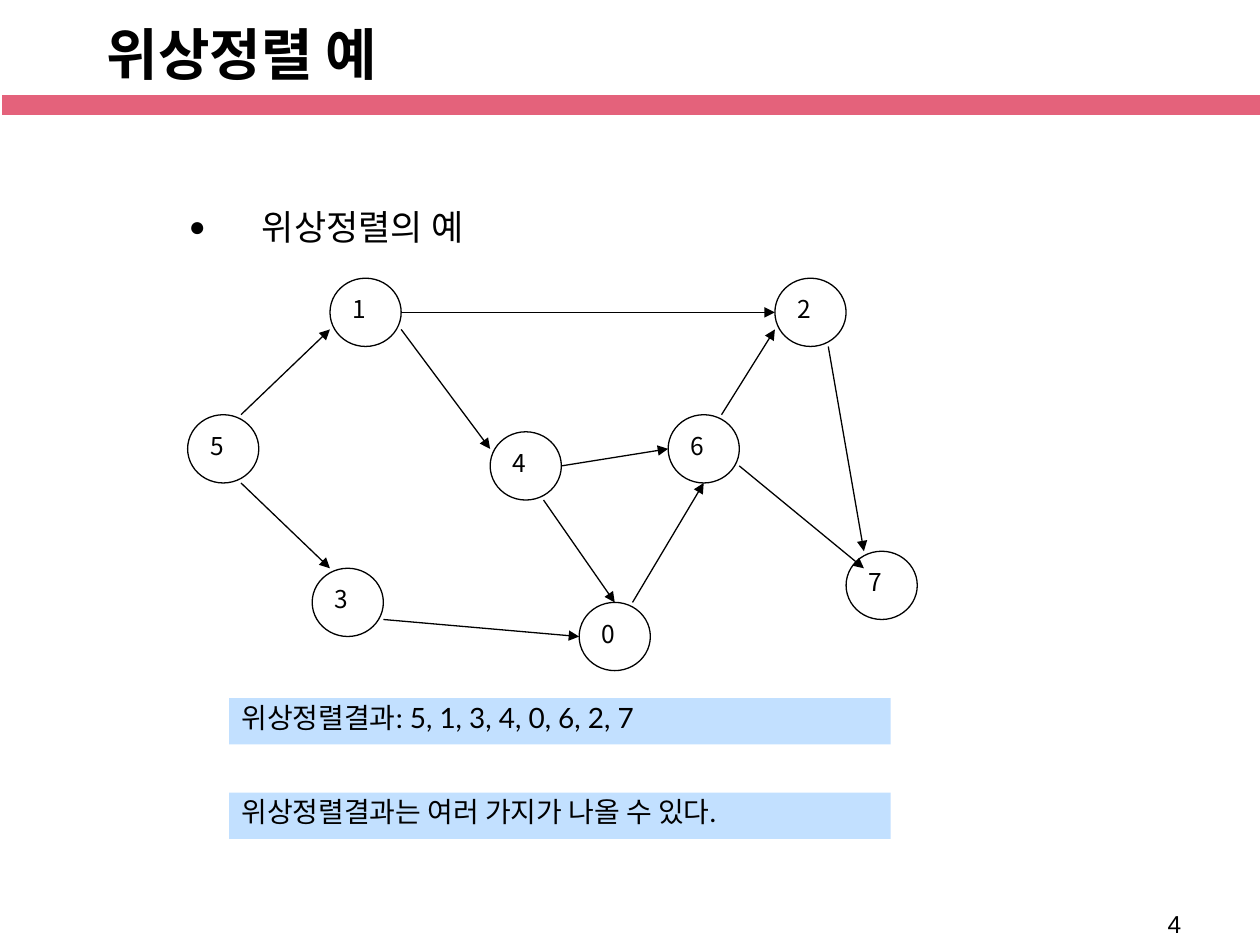
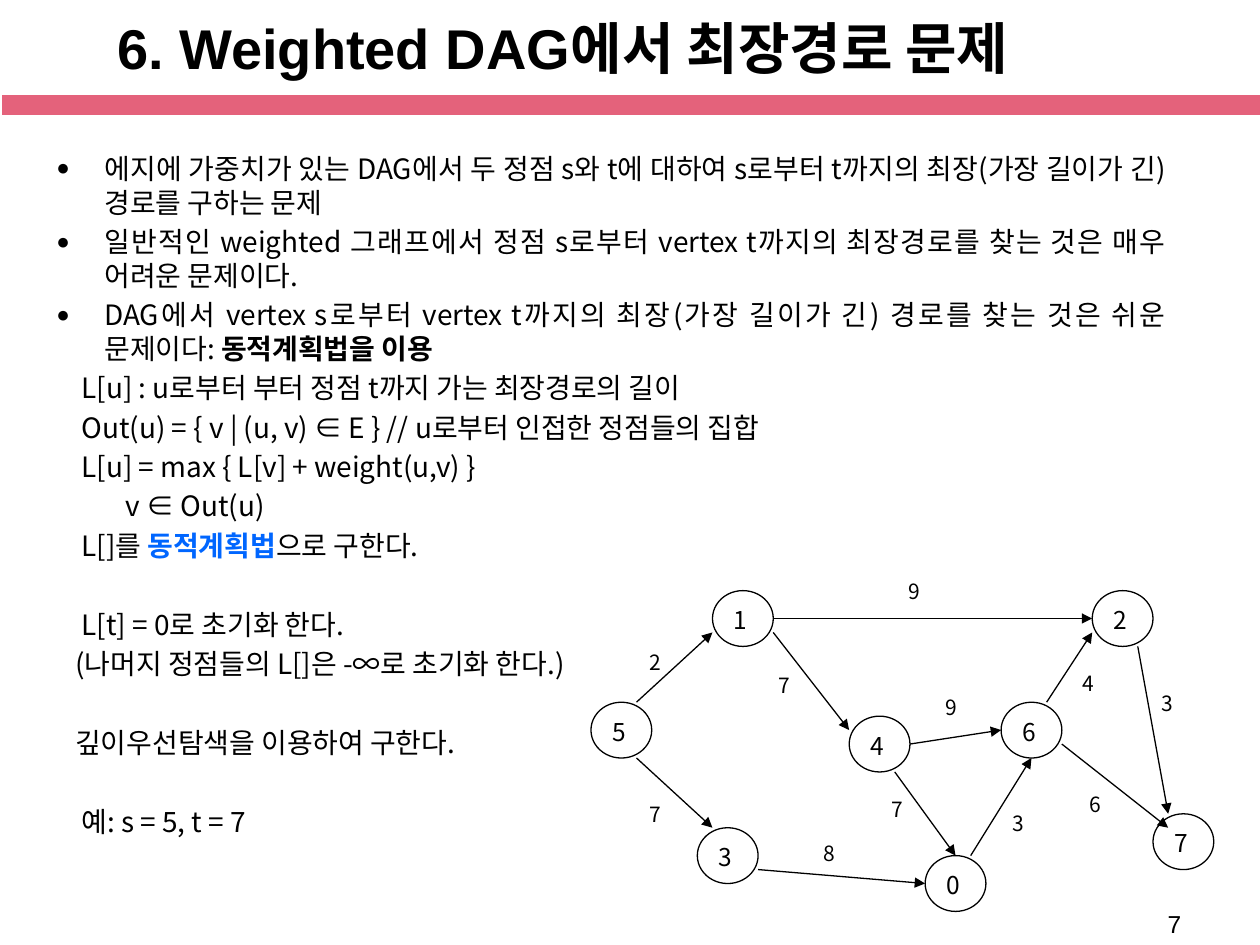
import pptx
import pptx.util
import pptx.dml.color
import pptx.enum.shapes
import pptx.enum.text
import pptx.oxml.ns
import lxml.etree

Pt = pptx.util.Pt
ALIGN = pptx.enum.text.PP_ALIGN
ANCHOR = pptx.enum.text.MSO_ANCHOR
SHAPE = pptx.enum.shapes.MSO_SHAPE
qn = pptx.oxml.ns.qn


def rgb(code):
    return pptx.dml.color.RGBColor.from_string(code)


THEME = {
    "ink": rgb("000000"), "paper": rgb("FFFFFF"), "band": rgb("E4627B"),
    "result": rgb("C2E0FF"), "accent": rgb("0066FF"),
    "head": "Arial", "note": "Lato", "body": "Noto Sans CJK KR",
    "title": 32, "lead": 20, "text": 16, "label": 14, "weight": 12,
}


def put_text(sp, paras, size, font, bold=False, wrap=True, anchor=ANCHOR.TOP):
    """Fill a shape; each paragraph is (runs, paragraph format, margin, bulleted)."""
    tf = sp.text_frame
    tf.word_wrap = wrap
    tf.vertical_anchor = anchor
    for i, (runs, fmt, margin, bulleted) in enumerate(paras):
        p = tf.paragraphs[0] if i == 0 else tf.add_paragraph()
        for name, value in fmt.items():
            setattr(p, name, value)
        pPr = p._p.get_or_add_pPr()
        pPr.set("marL", str(Pt(margin)))
        pPr.set("indent", str(-Pt(margin) if bulleted else 0))
        if bulleted:
            clr = lxml.etree.SubElement(pPr, qn("a:buClr"))
            lxml.etree.SubElement(clr, qn("a:srgbClr"), val=str(THEME["ink"]))
            lxml.etree.SubElement(pPr, qn("a:buSzPct"), val="80000")
            lxml.etree.SubElement(pPr, qn("a:buFont"), typeface=THEME["head"])
            lxml.etree.SubElement(pPr, qn("a:buChar"), char="●")
        else:
            lxml.etree.SubElement(pPr, qn("a:buNone"))
        for text, special in runs:
            r = p.add_run()
            r.text = text
            look = {"size": Pt(size), "name": font, "bold": bold, "color": THEME["ink"], **special}
            r.font.color.rgb = look.pop("color")
            for name, value in look.items():
                setattr(r.font, name, value)
            ea = lxml.etree.SubElement(r._r.get_or_add_rPr(), qn("a:ea"))
            ea.set("typeface", THEME["body"])


prs = pptx.Presentation()
prs.slide_width, prs.slide_height = Pt(720), Pt(540)

# Graph on a grid of units: a node is 4 by 4 units
NODE = 4
NODES = {"2": (33, 0), "4": (17, 9), "3": (7, 17), "5": (0, 8),
         "7": (37, 16), "0": (22, 19), "6": (27, 8), "1": (8, 0)}
# from, offset in its node, to, offset in its node, weight, weight label place in points
EDGES = [
    ("5", (3, 0), "1", (0, 3), "2", (364.3, 367.9)),
    ("5", (3, 4), "3", (1, 0), "7", (364.3, 454.3)),
    ("1", (4, 3), "4", (0, 1), "7", (437.8, 380.9)),
    ("3", (4, 3), "0", (0, 2), "8", (463.7, 476.6)),
    ("4", (4, 2), "6", (0, 2), "9", (533.5, 393.1)),
    ("6", (3, 0), "2", (0, 3), "4", (611.3, 379.4)),
    ("1", (4, 2), "2", (0, 2), "9", (511.9, 326.9)),
    ("4", (3, 4), "0", (2, 0), "7", (502.6, 451.4)),
    ("6", (4, 3), "7", (1, 1), "6", (615.6, 448.6)),
    ("0", (3, 0), "6", (2, 4), "3", (571.7, 459.4)),
    ("2", (3, 4), "7", (1, 0), "3", (656.6, 391)),
]

# Title, title box, page number, graph origin and unit sizes
PAGES = [
    ("위상정렬 예", (54, 0, 612, 60.5), "4", (107.2, 159), (10.17, 9.75)),
    ("6. Weighted DAG에서 최장경로 문제", (59.8, 2.2, 613.4, 49), "7",
     (337.7, 337.5), (8.68, 7.97)),
]

slides = []
for title, title_box, number, origin, unit in PAGES:
    s = prs.slides.add_slide(prs.slide_layouts[6])
    slides.append(s)

    # Band, page number and title
    sp = s.shapes.add_shape(SHAPE.RECTANGLE, Pt(0.7), Pt(54), Pt(720), Pt(12.2))
    sp.shadow.inherit = False
    sp.fill.solid()
    sp.fill.fore_color.rgb = THEME["band"]
    sp.line.color.rgb = THEME["paper"]
    sp.line.width = Pt(1)
    sp = s.shapes.add_textbox(Pt(660.2), Pt(516.2), Pt(41), Pt(23.8))
    put_text(sp, [([(number, {})], {}, 0, False)], THEME["label"], THEME["head"])
    sp = s.shapes.add_textbox(*map(Pt, title_box))
    put_text(sp, [([(title, {})], {}, 0, False)], THEME["title"], THEME["head"],
             bold=True, anchor=ANCHOR.MIDDLE)

    # Nodes
    graph = s.shapes.add_group_shape().shapes
    for name, (col, row) in NODES.items():
        sp = graph.add_shape(SHAPE.OVAL, Pt(origin[0] + col * unit[0]), Pt(origin[1] + row * unit[1]),
                             Pt(NODE * unit[0]), Pt(NODE * unit[1]))
        sp.shadow.inherit = False
        sp.fill.solid()
        sp.fill.fore_color.rgb = THEME["paper"]
        sp.line.color.rgb = THEME["ink"]
        sp.line.width = Pt(0.75)
        fmt = {"alignment": ALIGN.JUSTIFY, "line_spacing": Pt(1.2 * THEME["label"])}
        put_text(sp, [([(name, {})], fmt, 0, False)], THEME["label"], THEME["body"])

    # Arrows
    for start, off_start, end, off_end, _, _ in EDGES:
        x1, y1, x2, y2 = [Pt(origin[k] + (NODES[node][k] + off[k]) * unit[k])
                          for node, off in ((start, off_start), (end, off_end)) for k in (0, 1)]
        cx = graph.add_connector(pptx.enum.shapes.MSO_CONNECTOR.STRAIGHT, x1, y1, x2, y2)
        cx.line.color.rgb = THEME["ink"]
        cx.line.width = Pt(0.75)
        lxml.etree.SubElement(cx.line._get_or_add_ln(), qn("a:tailEnd"), type="triangle")
        lxml.etree.SubElement(cx._element.spPr, qn("a:effectLst"))

example, longest = slides

# Example: lead line and results
sp = example.shapes.add_textbox(Pt(100.8), Pt(116.6), Pt(584.6), Pt(45.4))
put_text(sp, [([("위상정렬의 예", {})], {"line_spacing": 0.9}, 41.8, True)],
         THEME["lead"], THEME["head"])
RESULTS = ["위상정렬결과: 5, 1, 3, 4, 0, 6, 2, 7", "위상정렬결과는 여러 가지가 나올 수 있다."]
for i, result in enumerate(RESULTS):
    sp = example.shapes.add_shape(SHAPE.RECTANGLE, Pt(131), Pt(398.9 + i * 54), Pt(378), Pt(26.6))
    sp.shadow.inherit = False
    sp.fill.solid()
    sp.fill.fore_color.rgb = THEME["result"]
    sp.line.fill.background()
    fmt = {"alignment": ALIGN.JUSTIFY, "line_spacing": 0.9}
    put_text(sp, [([(result, {})], fmt, 0, False)], THEME["text"], THEME["note"])

# Longest path: runs, left margin, bulleted, gap above
BULLET, STEP, DEEP, NEAR = 27.4, 14.4, 39.6, 10.8
LINE, GAP = 19.3, 3.2
WIDE = LINE + 2 * GAP
STRONG = {"bold": True}
TEXT = [
    ([("에지에 가중치가 있는 DAG에서 두 정점 s와 t에 대하여 s로부터 t까지의 "
       "최장(가장 길이가 긴) 경로를 구하는 문제", {})], BULLET, True, 0),
    ([("일반적인 weighted 그래프에서 정점 s로부터 vertex t까지의 "
       "최장경로를 찾는 것은 매우 어려운 문제이다.", {})], BULLET, True, GAP),
    ([("DAG에서 vertex s로부터 vertex t까지의 최장(가장 길이가 긴) 경로를 "
       "찾는 것은 쉬운 문제이다: ", {}), ("동적계획법을 이용", STRONG)], BULLET, True, GAP),
    ([("L[u] : u로부터 부터 정점 t까지 가는 최장경로의 길이", {})], STEP, False, GAP),
    ([("Out(u) = { v | (u, v) ∈ E } // u로부터 인접한 정점들의 집합", {})], STEP, False, GAP),
    ([("L[u] = max { L[v] + weight(u,v) }", {})], STEP, False, GAP),
    ([("v ∈ Out(u)", {})], DEEP, False, GAP),
    ([("L[]를 ", {}), ("동적계획법", {**STRONG, "color": THEME["accent"]}),
      ("으로 구한다.", {})], STEP, False, GAP),
    ([("L[t] = 0로 초기화 한다.", {})], STEP, False, WIDE),
    ([("(나머지 정점들의 L[]은 -∞로 초기화 한다.)", {})], NEAR, False, GAP),
    ([("깊이우선탐색을 이용하여 구한다.", {})], NEAR, False, WIDE),
    ([("예: s = 5, t = 7", {})], STEP, False, WIDE),
]
paras = [(runs, {"alignment": ALIGN.JUSTIFY, "line_spacing": Pt(LINE), "space_before": Pt(gap)},
          margin, bulleted) for runs, margin, bulleted, gap in TEXT]
sp = longest.shapes.add_textbox(Pt(25.2), Pt(82.8), Pt(648), Pt(402.5))
put_text(sp, paras, THEME["text"], THEME["body"])

# Longest path: edge weights
for *_, weight, (x, y) in EDGES:
    sp = longest.shapes.add_textbox(Pt(x), Pt(y), Pt(21.6), Pt(21.6))
    fmt = {"line_spacing": Pt(1.2 * THEME["weight"])}
    put_text(sp, [([(weight, {})], fmt, 0, False)], THEME["weight"], THEME["body"], wrap=False)

prs.save("out.pptx")
